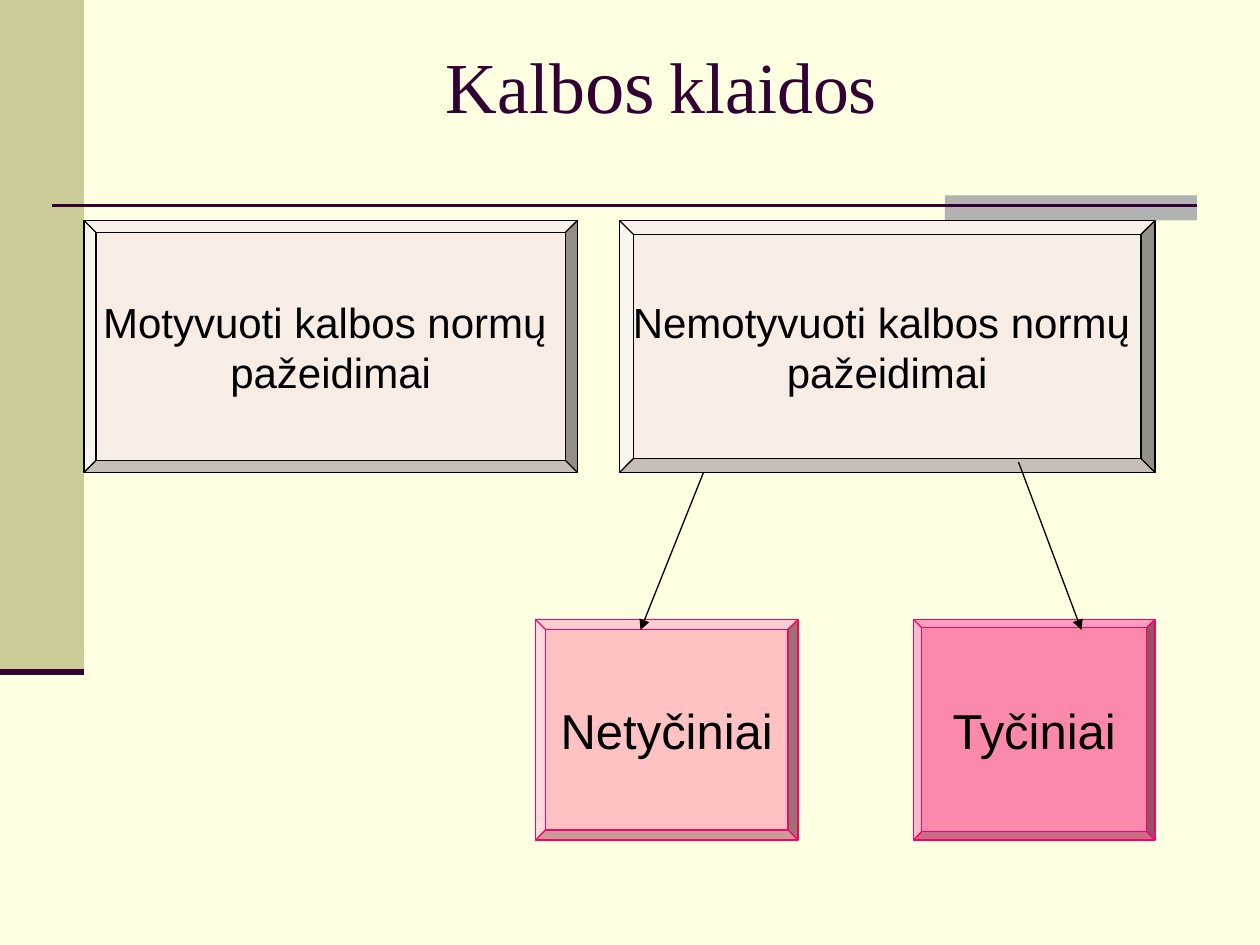
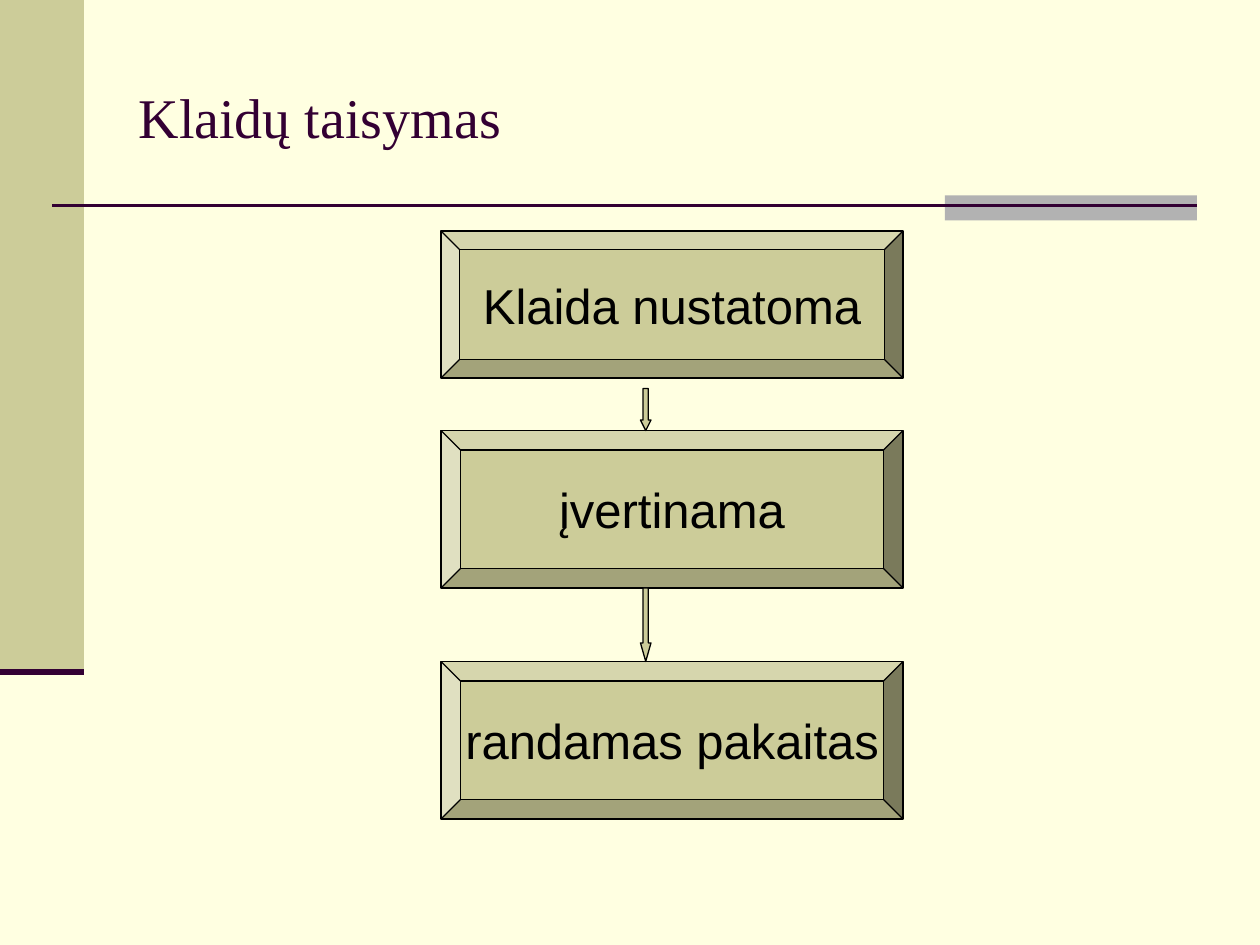
from lxml.etree import SubElement
from pptx import Presentation
from pptx.dml.color import RGBColor
from pptx.enum.shapes import MSO_CONNECTOR, MSO_SHAPE as Preset
from pptx.enum.text import MSO_ANCHOR as Anchor, MSO_AUTO_SIZE as AutoSize, PP_ALIGN as Align
from pptx.oxml.ns import qn
from pptx.util import Pt

CREAM = RGBColor(0xFF, 0xFF, 0xE1)
OLIVE = RGBColor(0xCC, 0xCC, 0x99)
GREY = RGBColor(0xB2, 0xB2, 0xB2)
PLUM = RGBColor(0x33, 0x00, 0x33)
BLACK = RGBColor(0x00, 0x00, 0x00)
BEIGE = RGBColor(0xF8, 0xED, 0xE4)
LIGHT_PINK = RGBColor(0xFE, 0xC2, 0xC3)
DEEP_PINK = RGBColor(0xFB, 0x89, 0xAC)
MAGENTA = RGBColor(0xFF, 0x00, 0x66)

TITLE_FONT = {"name": "Times New Roman", "bold": False}
LABEL_FONT = {"name": "Arial"}
TITLE_FRAME = {"auto_size": AutoSize.NONE, "word_wrap": True,
               "vertical_anchor": Anchor.MIDDLE}
LABEL_FRAME = {"word_wrap": False, "vertical_anchor": Anchor.MIDDLE}


def apply(target, values):
    for key, value in values.items():
        setattr(target, key, value)


def place(target, left, top, width, height):
    apply(target, {"left": Pt(left), "top": Pt(top),
                   "width": Pt(width), "height": Pt(height)})


def add_figure(slide, preset, box, fill, outline=None, adjustments=()):
    figure = slide.shapes.add_shape(preset, *map(Pt, box))
    figure.shadow.inherit = False
    figure.fill.solid()
    figure.fill.fore_color.rgb = fill
    if outline is None:
        figure.line.fill.background()
    else:
        figure.line.color.rgb = outline
        figure.line.width = Pt(0.75)
    for index, value in enumerate(adjustments):
        figure.adjustments[index] = value
    return figure


def add_bevel(slide, box, lines, size, fill, outline, edge):
    bevel = add_figure(slide, Preset.BEVEL, box, fill, outline, [edge])
    frame = bevel.text_frame
    apply(frame, LABEL_FRAME)
    frame.text = "\n".join(lines)
    for paragraph in frame.paragraphs:
        paragraph.alignment = Align.CENTER
        apply(paragraph.font, LABEL_FONT | {"size": Pt(size)})
        paragraph.font.color.rgb = BLACK


def add_line(slide, start, end, color, width, arrow=False):
    line = slide.shapes.add_connector(MSO_CONNECTOR.STRAIGHT, *map(Pt, start + end))
    line.line.color.rgb = color
    line.line.width = Pt(width)
    properties = line._element.spPr
    if arrow:
        SubElement(properties.find(qn("a:ln")), qn("a:tailEnd"), type="triangle")
    SubElement(properties, qn("a:effectLst"))


def add_titled_slide(deck, title_parts, title_height, alignment):
    slide = deck.slides.add_slide(deck.slide_layouts[5])
    add_figure(slide, Preset.RECTANGLE, (0, 0, 48, 384), OLIVE)
    add_figure(slide, Preset.RECTANGLE, (540, 111.6, 144, 14.4), GREY)
    add_line(slide, (30, 117.4), (684, 117.4), PLUM, 1.5)
    add_line(slide, (0, 384), (48, 384), PLUM, 3.5)
    title = slide.shapes.title
    place(title, 72, 21.6, 612, title_height)
    apply(title.text_frame, TITLE_FRAME)
    paragraph = title.text_frame.paragraphs[0]
    paragraph.alignment = alignment
    for text, size in title_parts:
        run = paragraph.add_run()
        run.text = text
        apply(run.font, TITLE_FONT | {"size": Pt(size)})
        run.font.color.rgb = PLUM
    return slide


def build_error_types(deck):
    title_parts = [("Kalb", 41), ("os", 45), (" ", 33), ("klaidos", 41)]
    slide = add_titled_slide(deck, title_parts, 50.4, Align.CENTER)
    violations = [("Motyvuoti", 48, 282, 0.048), ("Nemotyvuoti", 354, 306, 0.055)]
    for motive, left, width, edge in violations:
        add_bevel(slide, (left, 126, width, 144),
                  [f"{motive} kalbos normų ", "pažeidimai"], 24, BEIGE, BLACK, edge)
    intentions = [("Netyčiniai", 306, 150, LIGHT_PINK, 0.045),
                  ("Tyčiniai", 522, 138, DEEP_PINK, 0.037)]
    for label, left, width, fill, edge in intentions:
        add_bevel(slide, (left, 354, width, 126), [label], 28, fill, MAGENTA, edge)
    for start, end in [((402, 270), (366, 360)), ((582, 264), (618, 360))]:
        add_line(slide, start, end, BLACK, 0.75, arrow=True)


def build_correction_steps(deck):
    slide = add_titled_slide(deck, [("Klaidų taisymas", 32)], 90, Align.LEFT)
    steps = [("Klaida nustatoma", 132, 84), ("įvertinama", 246, 90),
             ("randamas pakaitas", 378, 90)]
    for label, top, height in steps:
        add_bevel(slide, (252, top, 264, height), [label], 28, OLIVE, BLACK, 0.125)
    for top, bottom, head in [(222, 246, 1), (336, 378, 1.76)]:
        add_figure(slide, Preset.DOWN_ARROW, (366, top, 6, bottom - top),
                   OLIVE, BLACK, [0.5, head])


def main():
    deck = Presentation()
    apply(deck, {"slide_width": Pt(720), "slide_height": Pt(540)})
    background = deck.slide_master.background.fill
    background.solid()
    background.fore_color.rgb = CREAM
    build_error_types(deck)
    build_correction_steps(deck)
    deck.save("out.pptx")


if __name__ == "__main__":
    main()
